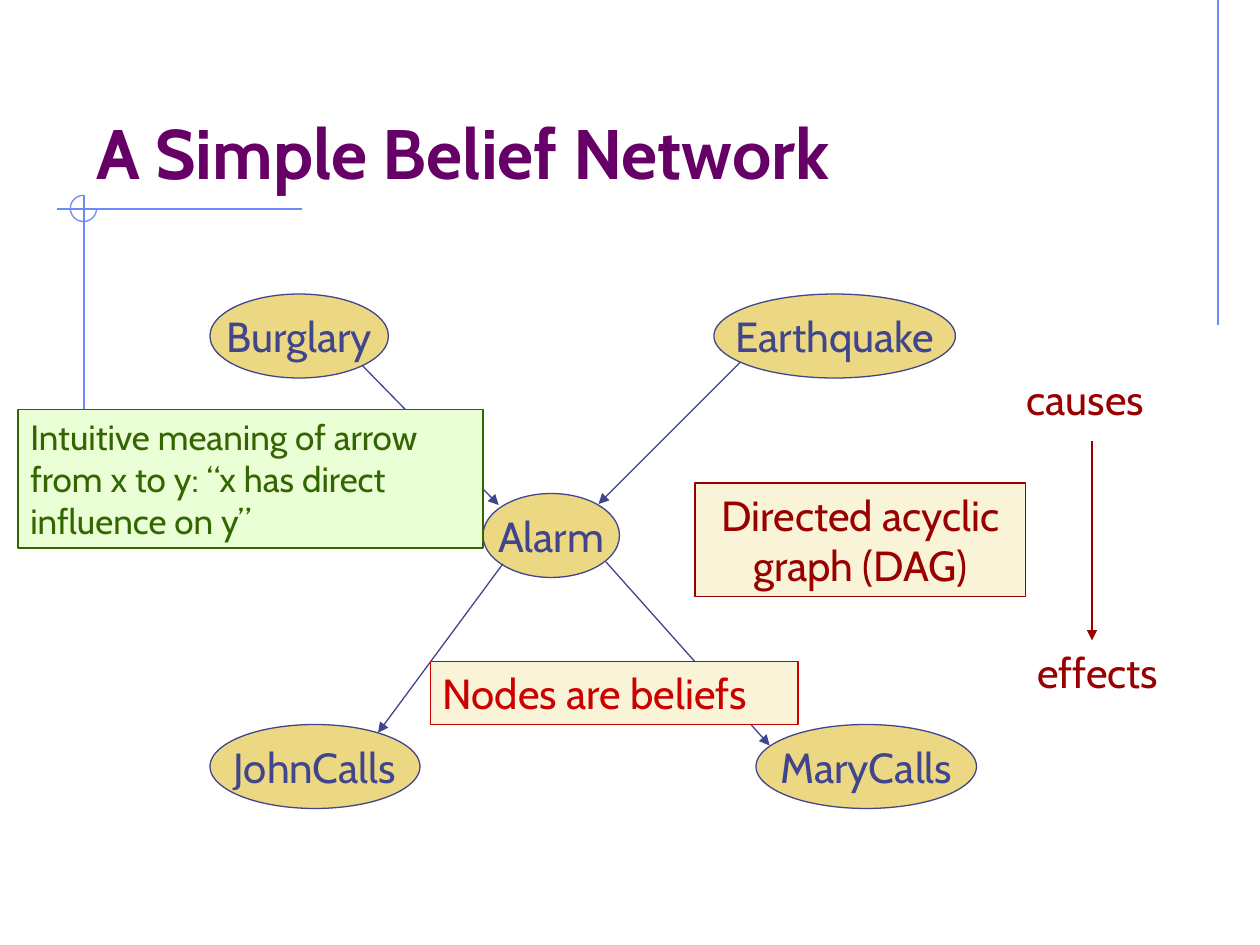
from lxml import etree
from pptx import Presentation, util as u
from pptx.dml.color import RGBColor
from pptx.enum import shapes, text
from pptx.oxml.ns import qn

FONT = "Cabin"
GRID = 12  # columns and rows per inch
COLORS = {
    "rule": "6F89F7", "title": "660066", "ink": "40458C", "node": "ECD882",
    "dark_red": "990000", "red": "CC0000", "green": "336600",
    "cream": "F9F3D7", "mint": "EAFFD5",
}
ALIGN, ANCHOR = text.PP_ALIGN, text.MSO_ANCHOR


def grid(*cells):
    return [u.Inches(c / GRID) for c in cells]


def rgb(name):
    return RGBColor.from_string(COLORS[name])


def set_line(sp, color):
    sp.line.color.rgb = rgb(color)
    sp.line.width = u.Pt(0.75)


def write(sp, lines, color, size=24, bold=False, align=ALIGN.LEFT,
          anchor=ANCHOR.TOP, wrap=True):
    tf = sp.text_frame
    frame = {"word_wrap": wrap, "vertical_anchor": anchor,
             "margin_left": u.Inches(0.1), "margin_right": u.Inches(0.1),
             "margin_top": u.Inches(0.05), "margin_bottom": u.Inches(0.05)}
    for key, value in frame.items():
        setattr(tf, key, value)
    tf.text = lines  # "\n" starts a paragraph, "\v" breaks a line
    for p in tf.paragraphs:
        p.alignment = align
        for r in p.runs:
            font = {"name": FONT, "size": u.Pt(size), "bold": bold}
            for key, value in font.items():
                setattr(r.font, key, value)
            r.font.color.rgb = rgb(color)


def add_label(s, cells, lines, color, **style):
    write(s.shapes.add_textbox(*grid(*cells)), lines, color, **style)


def add_block(s, kind, cells, lines, fill, color, line=None, **style):
    sp = s.shapes.add_shape(kind, *grid(*cells))
    sp.shadow.inherit = False
    sp.fill.solid()
    sp.fill.fore_color.rgb = rgb(fill)
    set_line(sp, line or color)
    write(sp, lines, color, **style)


def add_node(s, x, y, width, name):
    add_block(s, shapes.MSO_SHAPE.OVAL, (x, y, width, 8), name, "node", "ink",
              align=ALIGN.CENTER, anchor=ANCHOR.MIDDLE, wrap=False)


def add_note(s, cells, lines, fill, color, **style):
    add_block(s, shapes.MSO_SHAPE.RECTANGLE, cells, lines, fill, color, **style)


def add_line(s, ends, color, arrow=False):
    sp = s.shapes.add_connector(shapes.MSO_CONNECTOR.STRAIGHT, *grid(*ends))
    set_line(sp, color)
    if arrow:
        etree.SubElement(sp.line._get_or_add_ln(), qn("a:tailEnd"), type="triangle")
    etree.SubElement(sp._element.spPr, qn("a:effectLst"))


def add_rules(s):
    for ends in ((116, 0, 116, 31), (28.8, 19.9, 5.4, 19.9), (8, 18.6, 8, 49)):
        add_line(s, ends, "rule")
    # Three-quarter circle where the rules cross
    sp = s.shapes.add_shape(shapes.MSO_SHAPE.ARC, *grid(6.7, 18.6, 2.5, 2.5))
    sp.shadow.inherit = False
    sp.fill.background()
    set_line(sp, "rule")
    sp.adjustments[0], sp.adjustments[1] = 0, 162  # 0 to 270 degrees


def main():
    prs = Presentation()
    prs.slide_width, prs.slide_height = grid(120, 90)
    s = prs.slides.add_slide(prs.slide_layouts[6])

    # Decoration and title
    add_rules(s)
    add_label(s, (8, 4, 102, 15), "A Simple Belief Network", "title",
              size=40, bold=True, anchor=ANCHOR.BOTTOM)

    # Belief network: nodes, then arrows
    for node in ((20, 28, 17, "Burglary"), (68, 28, 23, "Earthquake"),
                 (46, 47, 13, "Alarm"), (72, 69, 21, "MaryCalls"),
                 (20, 69, 20, "JohnCalls")):
        add_node(s, *node)
    for ends in ((34.5, 34.8, 47.5, 48.1), (70.5, 34.5, 57, 48),
                 (47.9, 53.7, 36, 69.8), (57.7, 53.5, 73.3, 71)):
        add_line(s, ends, "ink", arrow=True)

    # Direction from causes to effects
    add_label(s, (96.6, 35, 15.1, 6), "causes", "dark_red")
    add_label(s, (97.6, 61, 14.9, 6), "effects", "dark_red")
    add_line(s, (104, 42, 104, 61), "dark_red", arrow=True)

    # Notes over the network
    add_note(s, (66.2, 46, 31.5, 10.8), "Directed acyclic\vgraph (DAG)",
             "cream", "dark_red", align=ALIGN.CENTER)
    add_note(s, (1.7, 39, 44.3, 13.2),
             "Intuitive meaning of arrow\nfrom x to y: “x has direct \vinfluence on y”",
             "mint", "green", size=20)
    add_note(s, (41, 63, 35, 6), "Nodes are beliefs", "cream", "red")

    prs.save("out.pptx")


if __name__ == "__main__":
    main()
